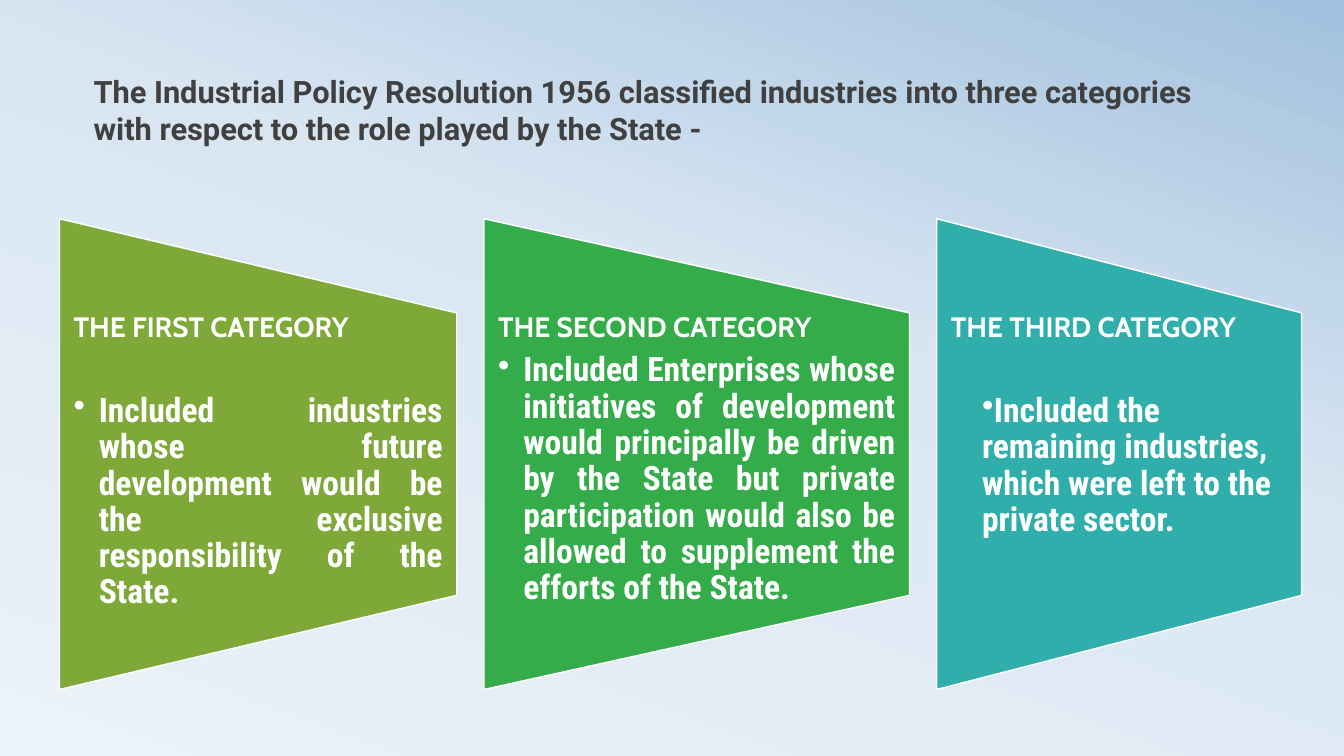
from copy import deepcopy

from pptx import Presentation
from pptx.dml.color import RGBColor
from pptx.enum.shapes import MSO_SHAPE
from pptx.enum.text import MSO_ANCHOR, MSO_AUTO_SIZE, PP_ALIGN
from pptx.oxml.ns import qn
from pptx.util import Inches, Pt

HEADING = {"size": Pt(20), "name": "Cabin", "bold": True}
BODY = {"size": Pt(24), "name": "Roboto Condensed", "bold": True}
TITLE = {"size": Pt(22), "name": "Roboto", "bold": True}
JUSTIFIED = {"align": PP_ALIGN.JUSTIFY, "margin": 0.25, "indent": -0.25}
FLUSH = {"align": PP_ALIGN.LEFT, "margin": 0.31, "indent": 0}

CATEGORIES = [
    ("THE FIRST CATEGORY", "Included industries whose future development would be the "
     "exclusive responsibility of the State.", 3.94, "7EA939", 36, JUSTIFIED),
    ("THE SECOND CATEGORY", "Included Enterprises whose initiatives of development would "
     "principally be driven by the State but private participation would also be allowed "
     "to supplement the efforts of the State.", 4.22, "34AC4A", 7, JUSTIFIED),
    ("THE THIRD CATEGORY", "Included the remaining industries, which were left to the "
     "private sector.", 3.62, "30AEAB", 36, FLUSH),
]


def color(hex_code):
    """Turn a hex string into a colour."""
    return RGBColor.from_string(hex_code)


def set_all(target, values):
    """Set every attribute named in a dict of format values."""
    for name, value in values.items():
        setattr(target, name, value)


def add_run(paragraph, text, font, hex_code):
    """Add a formatted run to a paragraph."""
    run = paragraph.add_run()
    run.text = text
    set_all(run.font, font)
    run.font.color.rgb = color(hex_code)


def paint_background(slide):
    """Fill the slide with a three-stop diagonal gradient."""
    fill = slide.background.fill
    fill.gradient()
    fill.gradient_angle = 70
    stop_list = next(slide.element.iter(qn("a:gsLst")))
    stop_list.insert(1, deepcopy(stop_list[0]))
    stops = [(0, "ECF3F8"), (0.58, "D9E6F2"), (1, "A1C1DE")]
    for stop, (position, hex_code) in zip(fill.gradient_stops, stops):
        stop.position = position
        stop.color.rgb = color(hex_code)


def add_title(slide, left, top, width, height):
    """Place the title in its box."""
    frame = slide.shapes.add_textbox(*map(Inches, (left, top, width, height))).text_frame
    set_all(frame, {"word_wrap": True, "auto_size": MSO_AUTO_SIZE.SHAPE_TO_FIT_TEXT})
    add_run(frame.paragraphs[0], "The Industrial Policy Resolution 1956 classified industries "
            "into three categories with respect to the role played by the State -",
            TITLE, "404040")


def add_bullet(paragraph, margin, indent):
    """Give a paragraph a round bullet with a hanging indent."""
    properties = paragraph._p.get_or_add_pPr()
    properties.set("marL", str(Inches(margin)))
    properties.set("indent", str(Inches(indent)))
    properties.makeelement(qn("a:buChar"), {"char": "•"})
    properties.append(properties.makeelement(qn("a:buChar"), {"char": "•"}))


def add_category(slide, left, top, width, height, heading, body, hex_code, gap, layout):
    """Place a sideways trapezoid with its heading and bullet in the box."""
    panel = slide.shapes.add_shape(
        MSO_SHAPE.FLOWCHART_MANUAL_OPERATION,
        Inches(left + (width - height) / 2), Inches(top + (height - width) / 2),
        Inches(height), Inches(width))
    panel.rotation = 270
    panel.shadow.inherit = False
    panel.fill.solid()
    panel.fill.fore_color.rgb = color(hex_code)
    panel.line.color.rgb = color("FFFFFF")
    panel.line.width = Pt(1)

    frame = slide.shapes.add_textbox(
        Inches(left), Inches(top + height * 0.2), Inches(width), Inches(height * 0.6)).text_frame
    set_all(frame, {"word_wrap": True, "vertical_anchor": MSO_ANCHOR.TOP,
                    "margin_left": Inches(0.14), "margin_right": Inches(0.14),
                    "margin_top": 0, "margin_bottom": 0})
    title = frame.paragraphs[0]
    set_all(title, {"line_spacing": 0.9, "space_after": Pt(gap)})
    add_run(title, heading, HEADING, "FFFFFF")
    detail = frame.add_paragraph()
    add_bullet(detail, layout["margin"], layout["indent"])
    set_all(detail, {"level": 1, "alignment": layout["align"],
                     "line_spacing": 0.9, "space_after": Pt(4)})
    add_run(detail, body, BODY, "FFFFFF")


def add_categories(slide, left, top, height, gap):
    """Place the categories side by side with equal gaps."""
    for heading, body, width, hex_code, heading_gap, layout in CATEGORIES:
        add_category(slide, left, top, width, height, heading, body,
                     hex_code, heading_gap, layout)
        left += width + gap


def main():
    """Build and save the slide."""
    deck = Presentation()
    set_all(deck, {"slide_width": Inches(13.33), "slide_height": Inches(7.5)})
    slide = deck.slides.add_slide(deck.slide_layouts[6])
    paint_background(slide)
    add_title(slide, 0.83, 0.67, 11.37, 0.84)
    add_categories(slide, 0.59, 2.17, 4.67, 0.27)
    deck.save("out.pptx")


if __name__ == "__main__":
    main()
